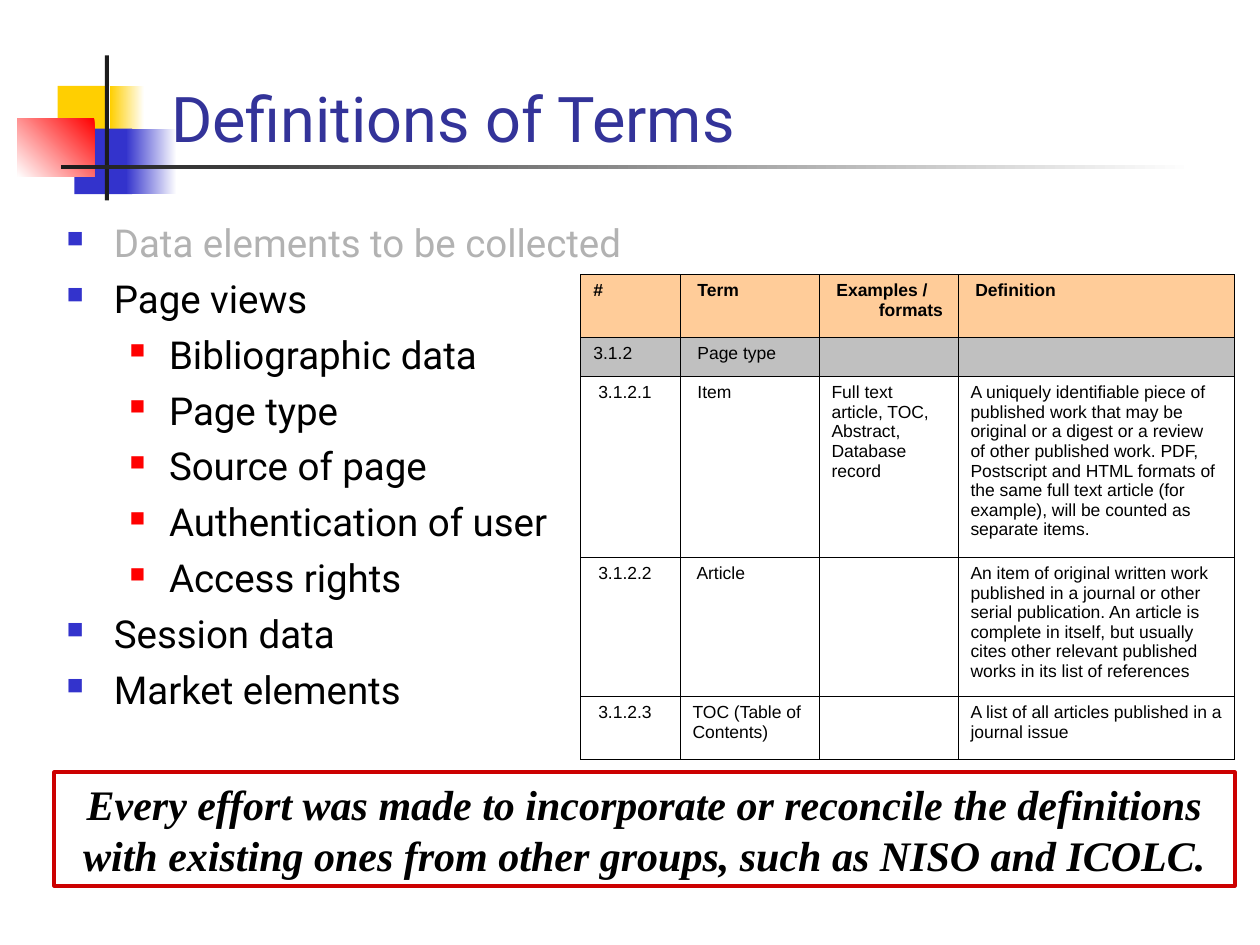
from lxml.etree import SubElement
from pptx import Presentation
from pptx.dml.color import RGBColor
from pptx.enum.shapes import MSO_SHAPE
from pptx.enum.text import MSO_ANCHOR, PP_ALIGN
from pptx.oxml.ns import qn
from pptx.util import Pt

COLORS = {
    "white": "FFFFFF", "black": "000000", "yellow": "FFCF01", "blue": "3333CC",
    "red": "FF0000", "charcoal": "1C1C1C", "title": "333399", "faded": "B2B2B2",
    "frame": "CC0000", "header": "FFCC99", "section": "C0C0C0",
}


def color(name):
    return RGBColor.from_string(COLORS[name])


def add_run(para, text, font, size, tint="black", bold=False, italic=False):
    span = para.add_run()
    span.text = text
    span.font.name = font
    span.font.size = Pt(size)
    span.font.color.rgb = color(tint)
    span.font.bold = bold
    span.font.italic = italic


deck = Presentation()
deck.slide_width, deck.slide_height = Pt(720), Pt(540)
page = deck.slides.add_slide(deck.slide_layouts[6])

# Corner ornament: left, top, width, height, start colour, end colour, angle
ornament = [
    (33, 49, 27, 29, "yellow", None, 0),
    (63, 49, 19.5, 29, "white", "yellow", 180),
    (42.5, 73.5, 33, 37.5, "blue", None, 0),
    (72, 73.5, 29, 37.5, "white", "blue", 180),
    (10, 67.5, 44, 33.5, "red", "white", 225),
    (60, 31.7, 2.2, 82.8, "charcoal", None, 0),
    (34.6, 94.3, 648, 2.2, "white", "charcoal", 180),
]
for left, top, width, height, start, end, angle in ornament:
    block = page.shapes.add_shape(MSO_SHAPE.RECTANGLE, Pt(left), Pt(top), Pt(width), Pt(height))
    block.shadow.inherit = False
    block.line.fill.background()
    if end is None:
        block.fill.solid()
        block.fill.fore_color.rgb = color(start)
    else:
        block.fill.gradient()
        block.fill.gradient_angle = angle
        for stop, name, position in zip(block.fill.gradient_stops, (start, end), (0, 1)):
            stop.color.rgb = color(name)
            stop.position = position

# Title
title = page.shapes.add_textbox(Pt(90.7), Pt(31.7), Pt(613.4), Pt(60.5)).text_frame
title.word_wrap = True
title.vertical_anchor = MSO_ANCHOR.BOTTOM
add_run(title.paragraphs[0], "Definitions of Terms", "Roboto", 36, "title")

# Bullet list: level, text, text colour
bullets = [
    (0, "Data elements to be collected", "faded"),
    (0, "Page views", "black"),
    (1, "Bibliographic data", "black"),
    (1, "Page type", "black"),
    (1, "Source of page", "black"),
    (1, "Authentication of user", "black"),
    (1, "Access rights", "black"),
    (0, "Session data", "black"),
    (0, "Market elements", "black"),
]
# Per level: left margin, first-line indent, bullet colour, bullet size
levels = [(27, -27, "blue", 60), (58.5, -22.5, "red", 55)]
body = page.shapes.add_textbox(Pt(31), Pt(121.7), Pt(357.8), Pt(375)).text_frame
body.word_wrap = True
for index, (level, text, tint) in enumerate(bullets):
    para = body.add_paragraph() if index else body.paragraphs[0]
    margin, indent, bullet_color, bullet_size = levels[level]
    para.level = level
    para.space_before = Pt(5.5 if index else 0)
    props = para._p.get_or_add_pPr()
    props.set("marL", str(Pt(margin)))
    props.set("indent", str(Pt(indent)))
    SubElement(SubElement(props, qn("a:buClr")), qn("a:srgbClr"), val=COLORS[bullet_color])
    SubElement(props, qn("a:buSzPct"), val=str(bullet_size * 1000))
    SubElement(props, qn("a:buChar"), char="■")
    add_run(para, text, "Roboto", 22, tint)

# Framed statement
frame = page.shapes.add_shape(MSO_SHAPE.RECTANGLE, Pt(31), Pt(441.4), Pt(674.6), Pt(64.8))
frame.shadow.inherit = False
frame.fill.background()
frame.line.color.rgb = color("frame")
frame.line.width = Pt(2.25)
statement = frame.text_frame
statement.word_wrap = True
statement.vertical_anchor = MSO_ANCHOR.TOP
statement.paragraphs[0].alignment = PP_ALIGN.CENTER
add_run(statement.paragraphs[0],
        "Every effort was made to incorporate or reconcile the definitions with existing "
        "ones from other groups, such as NISO and ICOLC.",
        "Times New Roman", 24, bold=True, italic=True)

# Definitions table
rows = [
    ["#", " Term", " Examples / formats", " Definition"],
    ["3.1.2", " Page type", "", ""],
    [" 3.1.2.1", " Item", "Full text article, TOC, Abstract, Database record",
     "A uniquely identifiable piece of published work that may be original or a digest or a "
     "review of other published work. PDF, Postscript and HTML formats of the same full text "
     "article (for example), will be counted as separate items."],
    [" 3.1.2.2", " Article", "",
     "An item of original written work published in a journal or other serial publication. "
     "An article is complete in itself, but usually cites other relevant published works in "
     "its list of references"],
    [" 3.1.2.3", "TOC (Table of  Contents)", "",
     "A list of all articles published in a journal issue"],
]
column_widths = [56.7, 79.4, 79.4, 158.2]
row_heights = [36, 22.3, 103.4, 79.4, 36]
row_fills = ["header", "section", None, None, None]
table = page.shapes.add_table(len(rows), len(column_widths), Pt(331.9), Pt(157),
                              Pt(sum(column_widths)), Pt(sum(row_heights))).table
table.first_row = table.horz_banding = False
for column, width in zip(table.columns, column_widths):
    column.width = Pt(width)
for r, (texts, height, fill) in enumerate(zip(rows, row_heights, row_fills)):
    table.rows[r].height = Pt(height)
    for c, text in enumerate(texts):
        cell = table.cell(r, c)
        para = cell.text_frame.paragraphs[0]
        if text:
            # Hanging indent everywhere but in the flowing descriptions
            if r < 2 or (c < 2 and not text.startswith("TOC")):
                props = para._p.get_or_add_pPr()
                props.set("marL", str(Pt(27)))
                props.set("indent", str(Pt(-27)))
            add_run(para, text, "Arial", 10, bold=r == 0)
        else:
            SubElement(para._p, qn("a:endParaRPr"), sz="1000")
        # Borders go before the fill in the cell properties
        cell_props = cell._tc.get_or_add_tcPr()
        for side in ("a:lnL", "a:lnR", "a:lnT", "a:lnB"):
            border = SubElement(cell_props, qn(side), w=str(Pt(0.45)))
            SubElement(SubElement(border, qn("a:solidFill")), qn("a:srgbClr"), val=COLORS["black"])
        if fill:
            cell.fill.solid()
            cell.fill.fore_color.rgb = color(fill)
        else:
            cell.fill.background()

deck.save("out.pptx")
